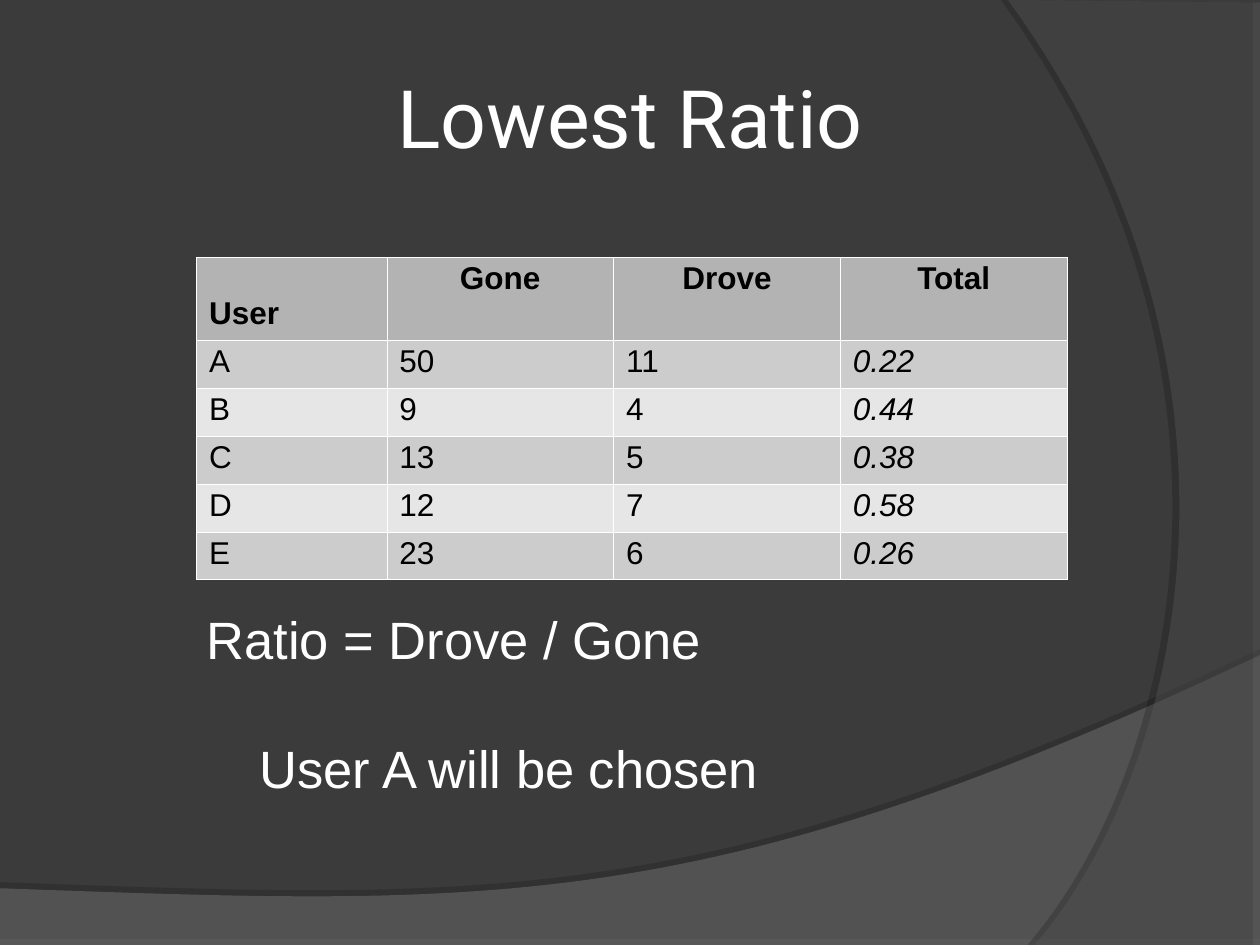
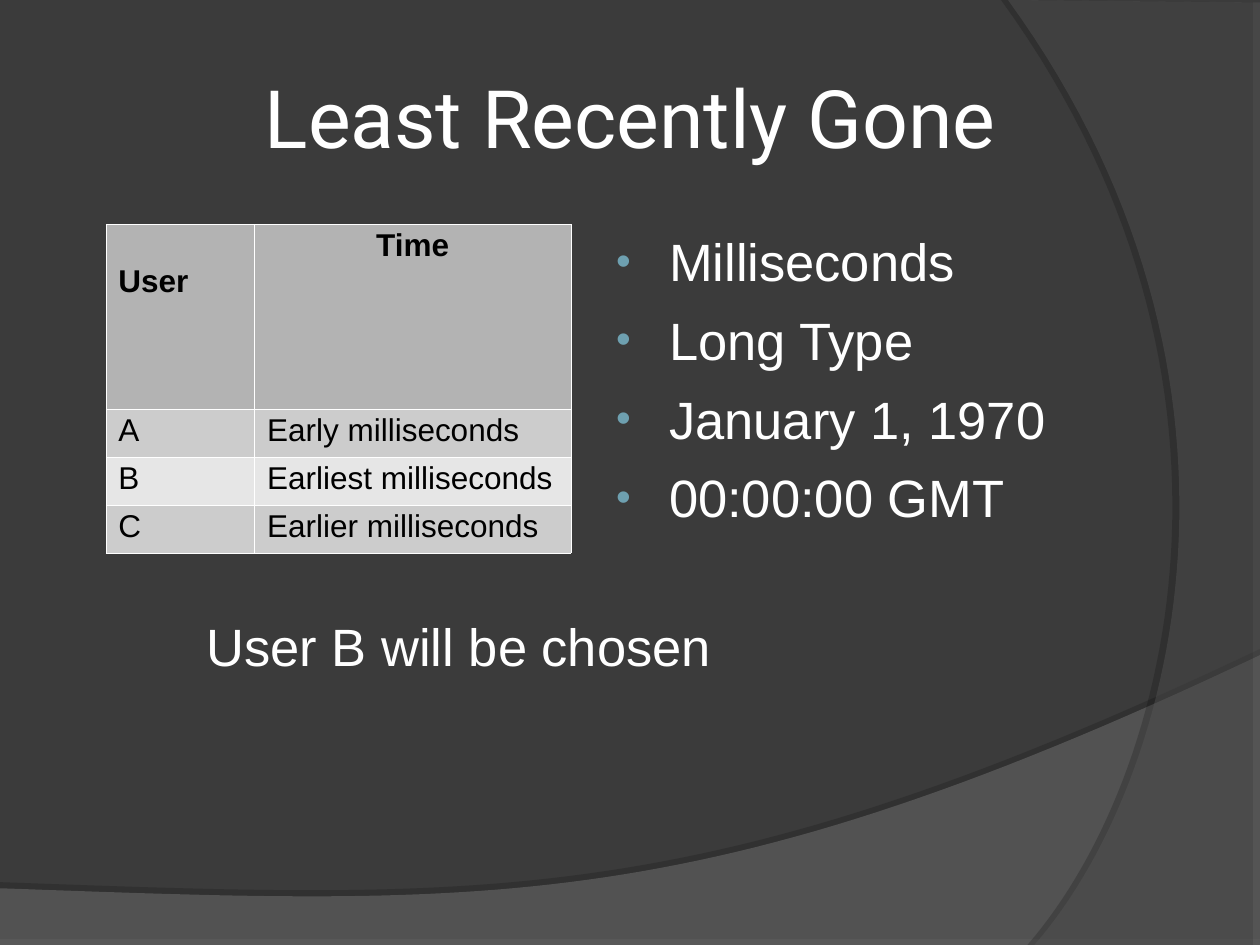
import pptx
import pptx.util
import pptx.dml.color
import pptx.enum.text
import pptx.oxml
import pptx.oxml.ns
from pptx.util import Inches, Pt

# Content
WHITE, BLACK, BACK, DOT = "FFFFFF", "000000", "3B3B3B", "6EA0B0"
HEAD, ODD, EVEN = "B3B3B3", "CCCCCC", "E6E6E6"
HANG = (0.46, -0.42)

SLIDES = [
    {
        "title": "Lowest Ratio",
        "layout": 1,
        "table": {
            "at": (1.56, 2.04), "cols": [1.51, 1.8, 1.8, 1.8], "head": 0.66,
            "rows": [
                ("User", "Gone", "Drove", "Total"),
                ("A", "50", "11", "0.22"),
                ("B", "9", "4", "0.44"),
                ("C", "13", "5", "0.38"),
                ("D", "12", "7", "0.58"),
                ("E", "23", "6", "0.26"),
            ],
            "slant": 3,
        },
        "bodies": [
            {"at": (1.5, 4.75, 4.75, 1.75), "gap": 36,
             "lines": [("Ratio = Drove / Gone", HANG),
                       ("User A will be chosen", (0.46, 0))]},
        ],
    },
    {
        "title": "Least Recently Gone",
        "layout": 3,
        "table": {
            "at": (0.84, 1.78), "cols": [1.18, 2.51], "head": 1.47,
            "rows": [
                ("User", "Time"),
                ("A", "Early milliseconds"),
                ("B", "Earliest milliseconds"),
                ("C", "Earlier milliseconds"),
            ],
            "slant": None,
        },
        "bodies": [
            {"at": (1.5, 4.8, 6.75, 0.7), "gap": 7.5,
             "lines": [("User B will be chosen", HANG)]},
            {"at": (4.75, 1.75, 3.75, 2.41), "gap": 7.5, "dot": DOT,
             "lines": [(line, HANG) for line in (
                 "Milliseconds", "Long Type",
                 "January 1, 1970", "00:00:00 GMT")]},
        ],
    },
]

# Each band: straight points, with a four-point tuple for a curve
BANDS = [
    {"path": [(0, 7.05), (0, 7.5), (10, 7.5),
              ((10, 5.2), (5.59, 7.29), (3.91, 7.19), (0, 7.05))],
     "fill": "7C7C7C", "alpha": 45, "shade": (35, 3.5, 270)},
    {"path": [(10, 0.02), (10, 7.5),
              ((8.21, 7.5), (9.35, 6.19), (10.18, 3), (8, 0))],
     "fill": "595959", "alpha": 40, "shade": (45, 4, 180)},
]


# Helpers
def color(code):
    return pptx.dml.color.RGBColor.from_string(code)


def paint(fill, code):
    fill.solid()
    fill.fore_color.rgb = color(code)


def node(tag, inner="", **attrs):
    """Make one drawing element."""
    pairs = "".join(f' {key}="{val}"' for key, val in attrs.items())
    space = pptx.oxml.ns.nsdecls("a")
    return pptx.oxml.parse_xml(f"<a:{tag} {space}{pairs}>{inner}</a:{tag}>")


def write(para, text, size=18, font="Arial", ink=WHITE, bold=False,
          slant=False, align="LEFT", space=None, gap=None):
    run = para.add_run()
    run.text = text
    face = run.font
    face.size, face.name, face.bold, face.italic = Pt(size), font, bold, slant
    face.color.rgb = color(ink)
    para.alignment = getattr(pptx.enum.text.PP_ALIGN, align)
    if space:
        para.line_spacing = space
    if gap is not None:
        para.space_before = Pt(gap)


def place(shape, at, inset):
    """Move a placeholder and fix its frame."""
    shape.left, shape.top, shape.width, shape.height = map(Inches, at)
    frame = shape.text_frame
    frame.word_wrap = True
    frame.auto_size = pptx.enum.text.MSO_AUTO_SIZE.NONE
    frame.margin_left = frame.margin_right = Inches(inset)
    frame.margin_top = frame.margin_bottom = Inches(0.05)
    return frame


def curve(ends, steps=60):
    """Points along a cubic curve."""
    for step in range(steps + 1):
        t = step / steps
        mix = ((1 - t) ** 3, 3 * t * (1 - t) ** 2, 3 * t * t * (1 - t), t ** 3)
        yield tuple(sum(m * end[axis] for m, end in zip(mix, ends))
                    for axis in (0, 1))


# Shared backdrop
def add_band(slide, master, band, spot):
    points = []
    for part in band["path"]:
        points += curve(part) if len(part) == 4 else [part]
    points = [(Inches(x), Inches(y)) for x, y in points]
    pen = slide.shapes.build_freeform(*points[0])
    pen.add_line_segments(points[1:], close=True)
    shape = pen.convert_to_shape()
    paint(shape.fill, band["fill"])
    shape.line.fill.background()
    tint = shape.fill._xPr.find(".//" + pptx.oxml.ns.qn("a:srgbClr"))
    tint.append(node("alpha", val=band["alpha"] * 1000))
    alpha, dist, turn = band["shade"]
    shade = (f'<a:outerShdw blurRad="0" dist="{Pt(dist)}" dir="{turn * 60000}" '
             f'algn="ctr" rotWithShape="0"><a:srgbClr val="{BLACK}">'
             f'<a:alpha val="{alpha * 1000}"/></a:srgbClr></a:outerShdw>')
    shape._element.spPr.append(node("effectLst", shade))
    shape._element.nvSpPr.cNvPr.set("id", str(100 + spot))
    master.shapes._spTree.insert(2 + spot, shape._element)


# Slide parts
def add_grid(slide, spec):
    rows, cols = spec["rows"], spec["cols"]
    highs = [spec["head"]] + [0.38] * (len(rows) - 1)
    box = [*spec["at"], sum(cols), sum(highs)]
    grid = slide.shapes.add_table(len(rows), len(cols), *map(Inches, box)).table
    for col, wide in zip(grid.columns, cols):
        col.width = Inches(wide)
    for row, high in zip(grid.rows, highs):
        row.height = Inches(high)
    for r, texts in enumerate(rows):
        for c, text in enumerate(texts):
            cell = grid.cell(r, c)
            paint(cell.fill, (ODD if r % 2 else EVEN) if r else HEAD)
            line = f'<a:solidFill><a:srgbClr val="{WHITE}"/></a:solidFill>'
            for spot, side in enumerate("LRTB"):
                edge = node("ln" + side, line, w=Pt(0.06))
                cell._tc.tcPr.insert(spot, edge)
            # The first heading sits one line lower
            cell.margin_top = Inches(0.33 if r == c == 0 else 0.05)
            write(cell.text_frame.paragraphs[0], text, ink=BLACK,
                  bold=r == 0, slant=r > 0 and c == spec["slant"],
                  align="CENTER" if r == 0 and c else "LEFT", space=0.93)


def add_body(shape, spec):
    frame = place(shape, spec["at"], 0.1)
    for i, (text, (left, first)) in enumerate(spec["lines"]):
        para = frame.add_paragraph() if i else frame.paragraphs[0]
        write(para, text, size=30, space=1.04, gap=spec["gap"] if i else 0)
        props = para._p.get_or_add_pPr()
        props.set("marL", str(Inches(left)))
        props.set("indent", str(Inches(first)))
        if "dot" in spec:
            props.append(node("buClr", f'<a:srgbClr val="{spec["dot"]}"/>'))
            props.append(node("buSzPct", val=80000))
            props.append(node("buFont", typeface="Arial"))
            props.append(node("buChar", char="•"))
        else:
            props.append(node("buNone"))


def main():
    deck = pptx.Presentation()
    deck.slide_width, deck.slide_height = Inches(10), Inches(7.5)
    master = deck.slide_master
    paint(master.background.fill, BACK)
    for i, spec in enumerate(SLIDES):
        slide = deck.slides.add_slide(deck.slide_layouts[spec["layout"]])
        if i == 0:
            for spot, band in enumerate(BANDS):
                add_band(slide, master, band, spot)
        add_grid(slide, spec["table"])
        title = place(slide.shapes.title, (0.5, 0.3, 9, 1.25), 0.05)
        title.vertical_anchor = pptx.enum.text.MSO_ANCHOR.MIDDLE
        write(title.paragraphs[0], spec["title"], size=46, font="Roboto",
              align="CENTER")
        for spot, body in enumerate(spec["bodies"], 1):
            add_body(slide.placeholders[spot], body)
    deck.save("out.pptx")


if __name__ == "__main__":
    main()
